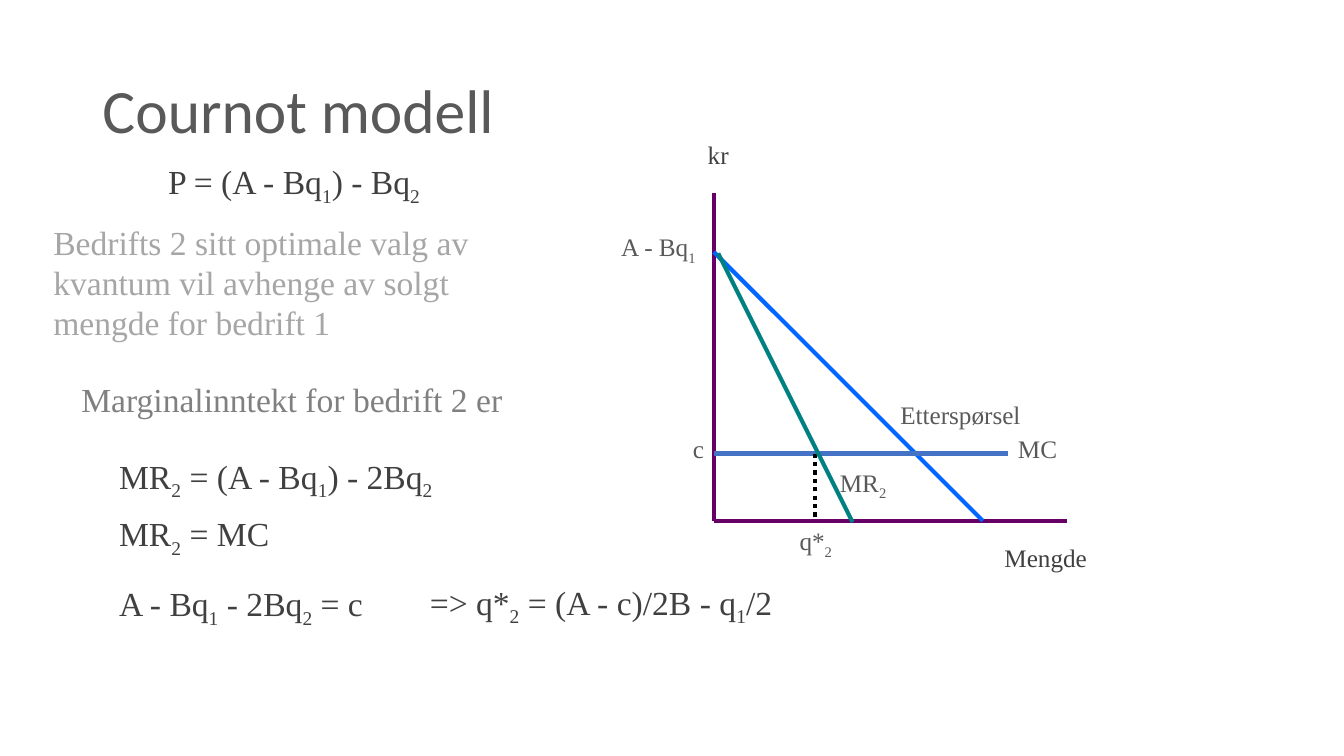
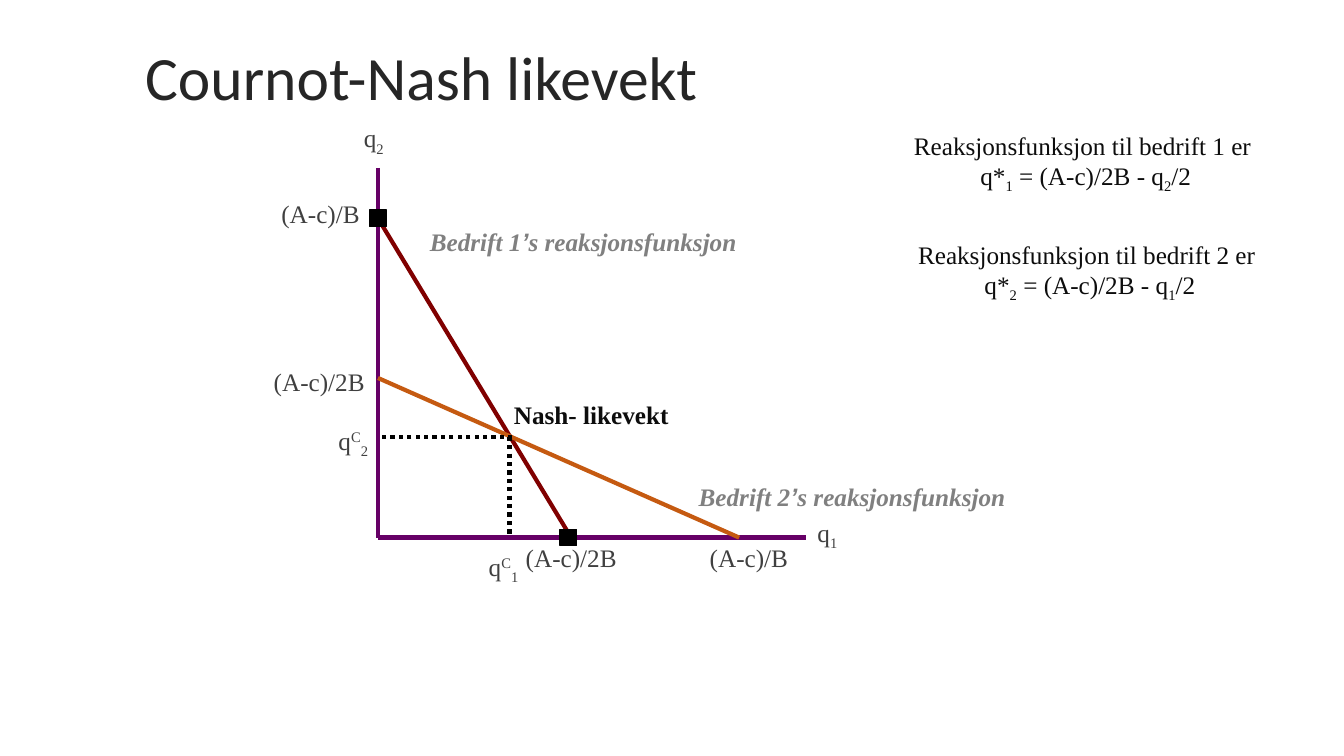
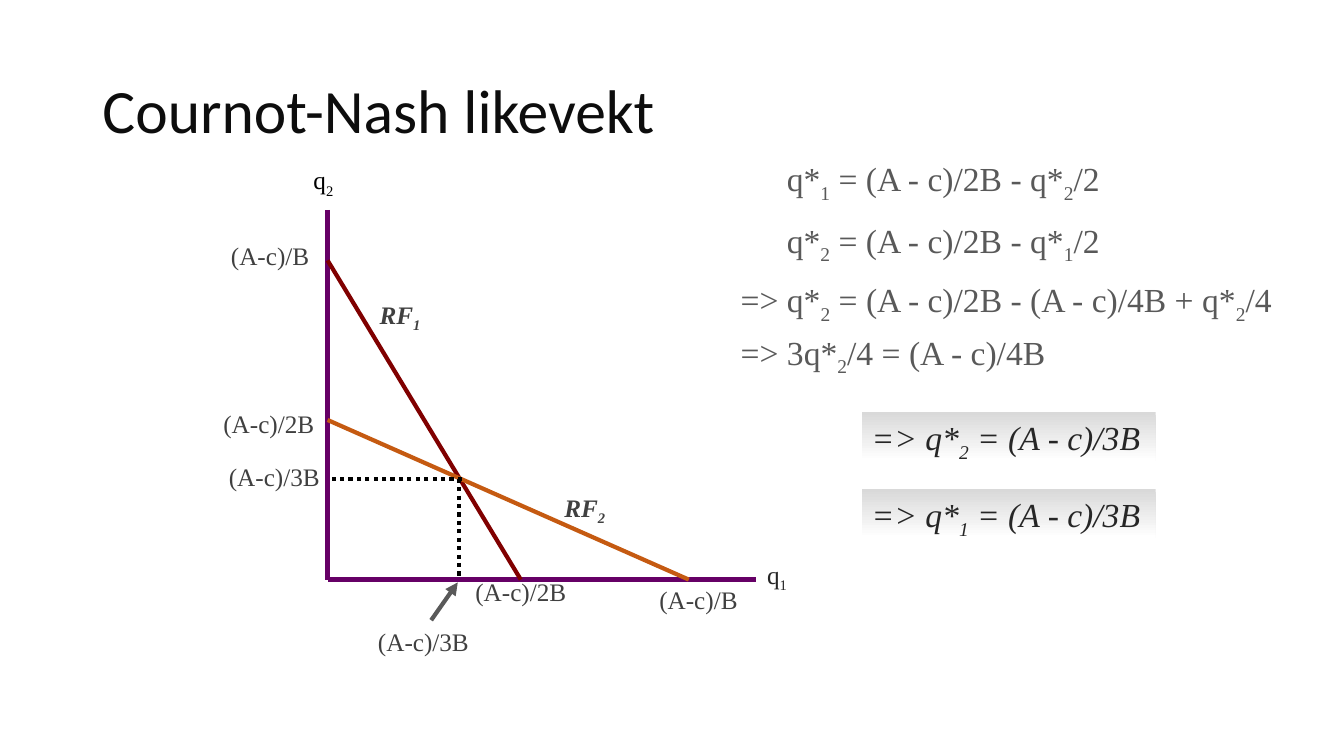
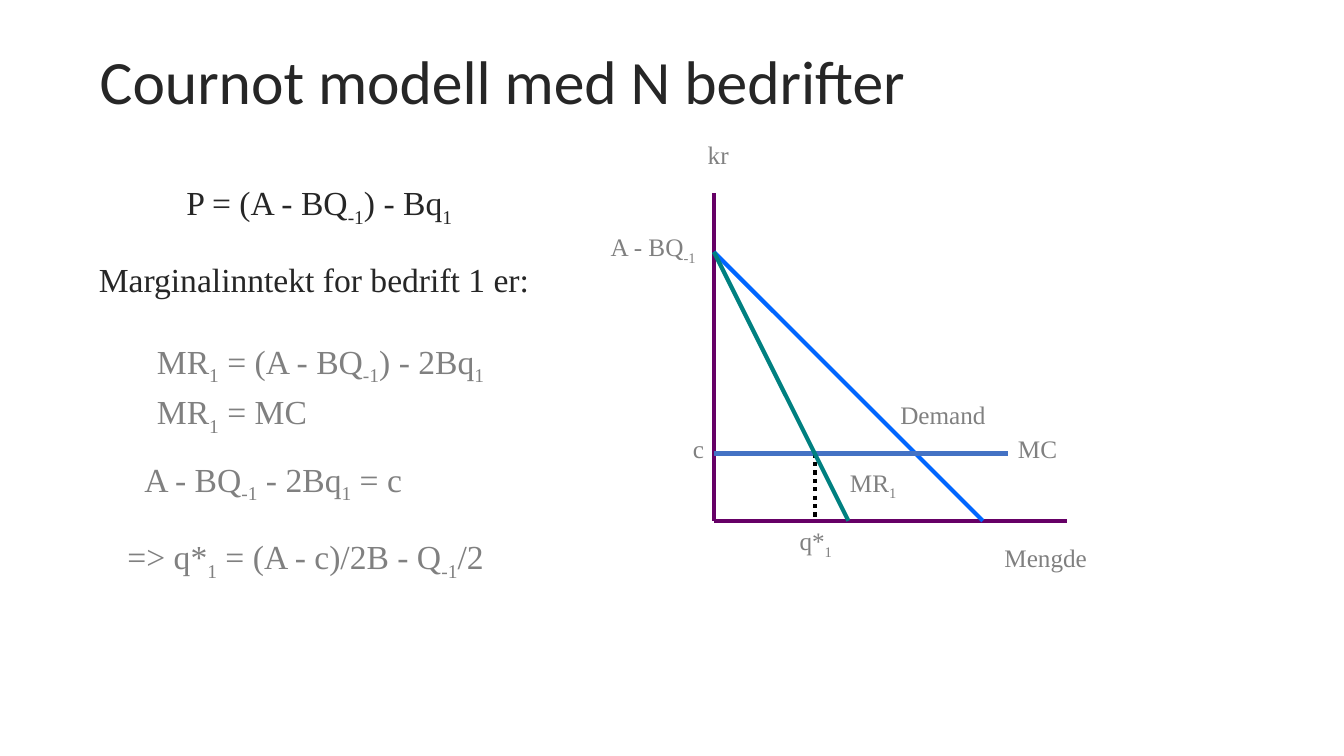
from dataclasses import dataclass

import lxml.etree
import pptx
import pptx.dml.color
import pptx.enum.dml
import pptx.enum.shapes
import pptx.enum.text
import pptx.oxml.ns
import pptx.slide
import pptx.util

Pt = pptx.util.Pt
Slide = pptx.slide.Slide

HUES = {
    "black": "000000", "ink": "0D0D0D", "coal": "262626", "dark": "404040",
    "slate": "595959", "grey": "808080", "pale": "A6A6A6", "mist": "D9D9D9",
    "white": "FFFFFF", "axis": "660066", "demand": "0066FF", "cost": "4472C4",
    "income": "008080", "first": "800000", "second": "C55A11",
}
SERIF = "Times New Roman"
SHIFT = {"_": "-25000", "^": "30000"}
ALIGN = {
    "l": pptx.enum.text.PP_ALIGN.LEFT,
    "c": pptx.enum.text.PP_ALIGN.CENTER,
    "r": pptx.enum.text.PP_ALIGN.RIGHT,
}
BIG, SMALL = 24, 18


@dataclass
class Label:
    """Text where "|" parts runs, "_" opens a subscript and "^" a superscript."""
    text: str
    x: float
    y: float
    wide: float
    hue: str = "dark"
    size: int = SMALL
    side: str = "l"
    bold: bool = False
    slant: bool = False
    shade: bool = False


@dataclass
class Line:
    x1: float
    y1: float
    x2: float
    y2: float
    hue: str
    dots: bool = False
    arrow: bool = False


def tint(name: str) -> pptx.dml.color.RGBColor:
    return pptx.dml.color.RGBColor.from_string(HUES[name])


def write(slide: Slide, item: Label) -> None:
    rows = item.text.split("\n")
    area = (Pt(item.x), Pt(item.y), Pt(item.wide), Pt(len(rows) * item.size * 1.15 + 7.2))
    if item.shade:
        box = slide.shapes.add_shape(pptx.enum.shapes.MSO_SHAPE.RECTANGLE, *area)
        box.shadow.inherit = False
        box.line.fill.background()
        box.fill.gradient()
        box.fill.gradient_angle = 270
        for stop, hue in zip(box.fill.gradient_stops, ("mist", "white")):
            stop.color.rgb = tint(hue)
    else:
        box = slide.shapes.add_textbox(*area)
    frame = box.text_frame
    frame.word_wrap = True
    frame.auto_size = pptx.enum.text.MSO_AUTO_SIZE.SHAPE_TO_FIT_TEXT
    frame.vertical_anchor = pptx.enum.text.MSO_ANCHOR.TOP
    for i, row in enumerate(rows):
        para = frame.add_paragraph() if i else frame.paragraphs[0]
        para.alignment = ALIGN[item.side]
        for part in row.split("|"):
            run = para.add_run()
            run.text = part.lstrip("_^")
            font = run.font
            font.name = "Arial" if part == "’" else SERIF
            font.size = Pt(item.size)
            font.color.rgb = tint(item.hue)
            font.bold, font.italic = item.bold, item.slant
            if part[0] in SHIFT:
                run._r.get_or_add_rPr().set("baseline", SHIFT[part[0]])


def rule(slide: Slide, item: Line) -> None:
    link = slide.shapes.add_connector(
        pptx.enum.shapes.MSO_CONNECTOR.STRAIGHT,
        Pt(item.x1), Pt(item.y1), Pt(item.x2), Pt(item.y2))
    link.line.color.rgb = tint(item.hue)
    link.line.width = Pt(3)
    if item.dots:
        link.line.dash_style = pptx.enum.dml.MSO_LINE.ROUND_DOT
    name = pptx.oxml.ns.qn
    if item.arrow:
        lxml.etree.SubElement(link.line._get_or_add_ln(), name("a:tailEnd"), type="triangle")
    lxml.etree.SubElement(link._element.spPr, name("a:effectLst"))


def draw(slide: Slide, items: list[Label | Line]) -> None:
    for item in items:
        if isinstance(item, Line):
            rule(slide, item)
        else:
            write(slide, item)


def start(deck, text: str, x: float, y: float, hue: str) -> Slide:
    """Add a slide with its title."""
    slide = deck.slides.add_slide(deck.slide_layouts[5])
    head = slide.shapes.title
    head.left, head.top, head.width, head.height = Pt(x), Pt(y), Pt(828), Pt(104.4)
    frame = head.text_frame
    frame.text = text
    frame.word_wrap = True
    frame.vertical_anchor = pptx.enum.text.MSO_ANCHOR.MIDDLE
    para = frame.paragraphs[0]
    para.alignment = ALIGN["l"]
    para.line_spacing = 0.9
    font = para.runs[0].font
    font.name, font.size = "Calibri", Pt(44)
    font.color.rgb = tint(hue)
    return slide


def price(slide: Slide, firm: int, cap: str, need: str, hue: str, edge: str,
          dx: float, dy: float, tag: float) -> None:
    """Draw demand, marginal income and marginal cost for one firm."""
    x, y, cost = 510, 372, 324
    draw(slide, [
        Line(x, 138, x, y, "axis"),
        Line(x, y, 762, y, "axis"),
        Line(x, 180, 702, y, "demand"),
        Line(x, cost, 720, cost, "cost"),
        Line(582, cost, 582, y, "black", dots=True),
        Line(x + dx, 180 + dy, 606 + dx, y + dy, "income"),
        Label("kr", 492, 96, 42, edge, side="c"),
        Label("Mengde", 696, 384, 102, edge, side="c"),
        Label(cap, 420, 162, 84, hue, side="r"),
        Label(need, 636, 282, 113, hue),
        Label("c", 468, 306, 42, hue, side="r"),
        Label("MC", 720, 306, 60, hue),
        Label(f"MR|_{firm}", tag, 330, 60, hue),
        Label(f"q*|_{firm}", 564, y, 48, hue),
    ])


def react(slide: Slide, x: float, y: float, drop: float, up: str, out: str) -> None:
    """Draw both reaction functions from the origin x, y."""
    draw(slide, [
        Line(x, y - 264, x, y, "axis"),
        Line(x, y, x + 306, y, "axis"),
        Line(x, y - 228, x + 138, y, "first"),
        Line(x, y - 114, x + 258, y, "second"),
        Line(x + 94, y - 72, x + 94, y, "black", dots=True),
        Line(x + 96, y - 72, x, y - 72, "black", dots=True),
        Label("q|_2", x - 30, y - 300, 54, up, side="c"),
        Label("q|_1", x + 294, y - 18, 54, out, side="c"),
        Label("(A-c)/B", x - 90, y - 246, 84, side="r"),
        Label("(A-c)/2B", x - 84, y - 126, 84, side="c"),
        Label("(A-c)/2B", x + 96, y + drop, 84, side="c"),
        Label("(A-c)/B", x + 216, y, 84, side="r"),
    ])


def model(deck) -> None:
    slide = start(deck, "Cournot modell", 66, 29, "slate")
    price(slide, 2, "A - Bq|_1", "Etterspørsel", "slate", "dark", 3, 1, 592.8)
    draw(slide, [
        Label("P = (A - Bq|_1|) - Bq|_2", 113, 111.6, 210, size=BIG),
        Label("Bedrifts 2 sitt optimale valg av kvantum vil avhenge av solgt "
              "mengde for bedrift 1", 31, 154.8, 371, "pale", BIG),
        Label("Marginalinntekt for bedrift 2 er", 51, 267, 348, "grey", BIG),
        Label("MR|_2| = (A - Bq|_1|) - 2Bq|_2", 78, 322, 276, size=BIG),
        Label("MR|_2| = MC", 78, 363, 132, size=BIG),
        Label("A - Bq|_1| - 2Bq|_2| = c", 78, 413, 198, size=BIG),
        Label("=> q*|_2| = (A - c)/2B - q|_1|/2", 300, 412, 282, size=BIG),
    ])


def nash(deck) -> None:
    slide = start(deck, "Cournot-Nash likevekt", 96.5, 5, "coal")
    react(slide, 270, 384, 0, "dark", "dark")
    for x, y in ((400, 378), (264, 150)):
        dot = slide.shapes.add_shape(
            pptx.enum.shapes.MSO_SHAPE.RECTANGLE, Pt(x), Pt(y), Pt(12), Pt(12))
        dot.shadow.inherit = False
        dot.fill.solid()
        dot.fill.fore_color.rgb = dot.line.color.rgb = tint("black")
        dot.line.width = Pt(0.75)
    for firm, other, x, y in ((1, 2, 300, 158.4), (2, 1, 492, 340.6)):
        write(slide, Label(f"Bedrift {firm}|’|s reaksjonsfunksjon", x, y, 258, "grey",
                           bold=True, slant=True))
        write(slide, Label(
            f"Reaksjonsfunksjon til bedrift {firm} er \n"
            f"q*|_{firm}| = (A-c)/2B - q|_{other}|/2",
            629.5 + 6.5 * firm, 11.5 + 77.8 * firm, 279 if firm == 1 else 272,
            "ink", side="c"))
    draw(slide, [
        Label("Nash- likevekt", 360, 282, 147, "ink", bold=True),
        Label("q|^C|_1", 342, 390, 42),
        Label("q|^C|_2", 228, 300, 42, side="r"),
    ])


def solve(deck) -> None:
    slide = start(deck, "Cournot-Nash likevekt", 66, 29, "ink")
    react(slide, 234, 414, -6, "black", "coal")
    draw(slide, [
        Label("RF|_1", 264, 210, 228, bold=True, slant=True),
        Label("RF|_2", 396, 348, 228, bold=True, slant=True),
        Label("(A-c)/3B", 145.5, 326, 90, side="r"),
        Label("(A-c)/3B", 252, 444, 90, side="r"),
        Line(308, 443, 327, 416, "slate", arrow=True),
        Label("q*|_1| = (A - c)/2B - q*|_2|/2", 555, 109.5, 246, "slate", BIG),
        Label("q*|_2| = (A - c)/2B - q*|_1|/2", 555, 153.5, 246, "slate", BIG),
        Label("=> q*|_2| = (A - c)/2B - (A - c)/4B + q*|_2|/4", 522, 196, 477, "slate", BIG),
        Label("=> 3q*|_2|/4 = (A - c)/4B", 522, 233.5, 342, "slate", BIG),
    ])
    for firm, y in ((2, 294.5), (1, 349.5)):
        write(slide, Label(f"=> q*|_{firm}| = (A - c)/3B", 615.6, y, 210, "coal", BIG,
                           slant=True, shade=True))


def many(deck) -> None:
    slide = start(deck, "Cournot modell med N bedrifter", 64, 8.5, "coal")
    price(slide, 1, "A - BQ|_-1", "Demand", "grey", "grey", 0, 0, 600)
    draw(slide, [
        Label("P = (A - BQ|_-1|) - Bq|_1", 126, 126.5, 240, "coal", BIG),
        Label("Marginalinntekt for bedrift 1 er:", 63.5, 181.5, 329, "coal", BIG),
        Label("MR|_1| = (A - BQ|_-1|) - 2Bq|_1", 105, 240, 276, "grey", BIG),
        Label("MR|_1| = MC", 105, 276, 132, "grey", BIG),
        Label("A - BQ|_-1| - 2Bq|_1| = c", 96, 324, 216, "grey", BIG),
        Label("=> q*|_1| = (A - c)/2B - Q|_-1|/2", 84, 379.5, 282, "grey", BIG),
    ])


def main() -> None:
    deck = pptx.Presentation()
    deck.slide_width, deck.slide_height = Pt(960), Pt(540)
    for build in (model, nash, solve, many):
        build(deck)
    deck.save("out.pptx")


if __name__ == "__main__":
    main()
